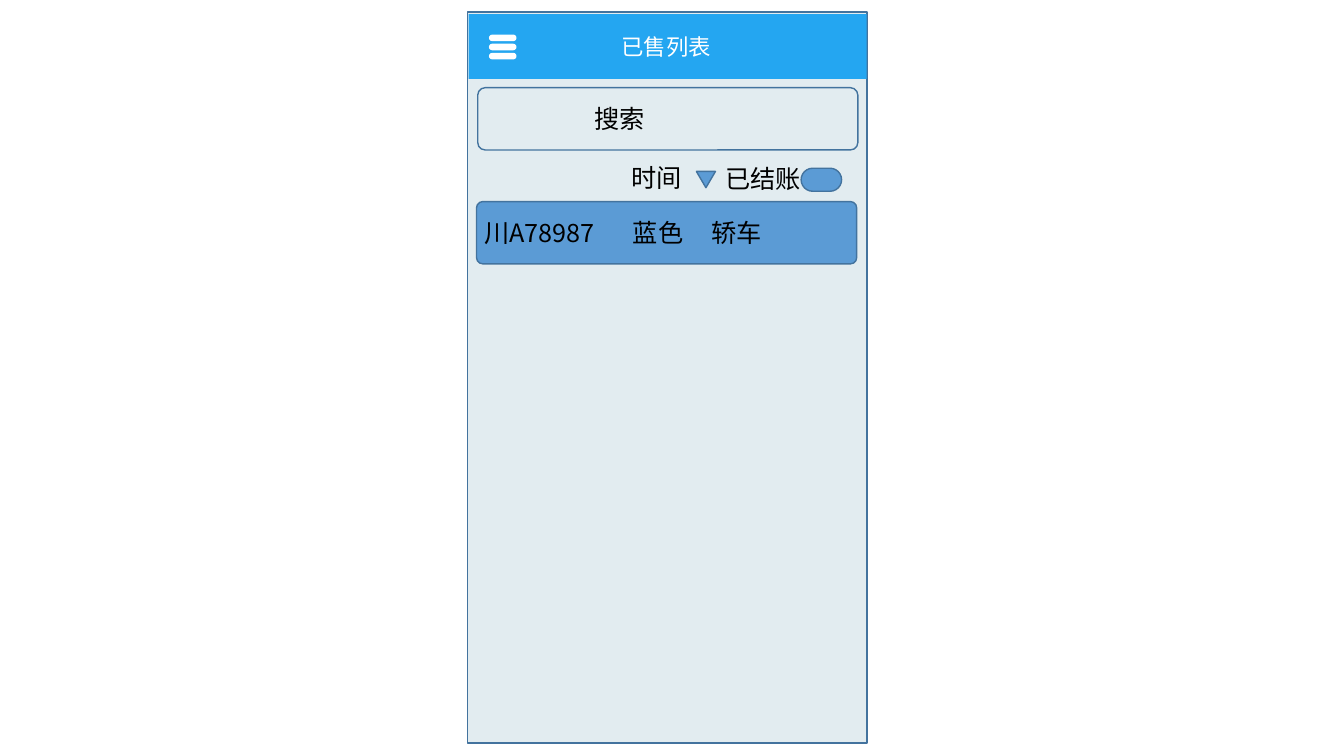
from lxml import etree
from pptx import Presentation
from pptx.dml.color import RGBColor
from pptx.enum import shapes, text
from pptx.oxml.ns import qn
from pptx.util import Cm, Pt

FONT = "Noto Sans CJK SC"
KIND = shapes.MSO_SHAPE
INK = {
    "panel": "E2ECF0",
    "bar": "24A6F1",
    "blue": "5B9BD5",
    "edge": "43739E",
    "white": "FFFFFF",
    "black": "000000",
}


def color(name):
    return RGBColor.from_string(INK[name])


def add_box(slide, kind, left, top, width, height, fill=None, line=None, curve=None):
    box = slide.shapes.add_shape(kind, Cm(left), Cm(top), Cm(width), Cm(height))
    box.shadow.inherit = False
    if curve is not None:
        box.adjustments[0] = curve
    if fill:
        box.fill.solid()
        box.fill.fore_color.rgb = color(fill)
    else:
        box.fill.background()
    if line:
        box.line.color.rgb = color(line)
        box.line.width = Pt(1)
    else:
        box.line.fill.background()
    return box


def add_label(slide, words, left, top, width, size=18, ink="black", align=None):
    label = slide.shapes.add_textbox(Cm(left), Cm(top), Cm(width), Cm(1.02))
    frame = label.text_frame
    frame.word_wrap = True
    frame.auto_size = text.MSO_AUTO_SIZE.SHAPE_TO_FIT_TEXT
    frame.text = words
    line = frame.paragraphs[0]
    line.alignment = align
    for run in line.runs:
        run.font.size = Pt(size)
        run.font.color.rgb = color(ink)
        run.font.name = FONT
        east = etree.SubElement(run.font._element, qn("a:ea"))
        east.set("typeface", FONT)


def add_menu(slide, left, top):
    for row in range(3):
        add_box(slide, KIND.ROUNDED_RECTANGLE, left, top + row * 0.23, 0.66, 0.13,
                "white", "white", 0.5)


def add_head(slide):
    add_box(slide, KIND.RECTANGLE, 11.81, 0.36, 10.03, 1.63, "bar")
    add_menu(slide, 12.34, 0.89)
    add_label(slide, "已售列表", 14.96, 0.71, 3.66, 16, "white", text.PP_ALIGN.CENTER)


def add_search(slide):
    add_box(slide, KIND.ROUNDED_RECTANGLE, 12.04, 2.21, 9.58, 1.57,
            line="edge", curve=0.12)
    add_label(slide, "搜索", 14.73, 2.49, 4.39)


def add_filter(slide):
    add_label(slide, "时间", 15.67, 3.96, 1.96)
    arrow = add_box(slide, KIND.ISOSCELES_TRIANGLE, 17.55, 4.32, 0.48, 0.41,
                    "blue", "edge")
    arrow.rotation = 180
    add_label(slide, "已结账", 18.03, 3.99, 2.64)
    add_box(slide, KIND.ROUNDED_RECTANGLE, 20.19, 4.24, 1.02, 0.58,
            "blue", "edge", 0.5)


def add_car(slide, top, cells):
    add_box(slide, KIND.ROUNDED_RECTANGLE, 12.01, top, 9.58, 1.57,
            "blue", "edge", 0.1)
    for words, left, width in cells:
        add_label(slide, words, left, top + 0.28, width)


def main():
    deck = Presentation()
    deck.slide_width = Cm(33.87)
    deck.slide_height = Cm(19.05)
    slide = deck.slides.add_slide(deck.slide_layouts[6])
    add_box(slide, KIND.RECTANGLE, 11.79, 0.3, 10.06, 18.42, "panel", "edge")
    add_head(slide)
    add_search(slide)
    add_filter(slide)
    add_car(slide, 5.08, [
        ("川A78987", 11.96, 3.6),
        ("蓝色", 15.7, 1.78),
        ("轿车", 17.68, 1.78),
    ])
    deck.save("out.pptx")


if __name__ == "__main__":
    main()
